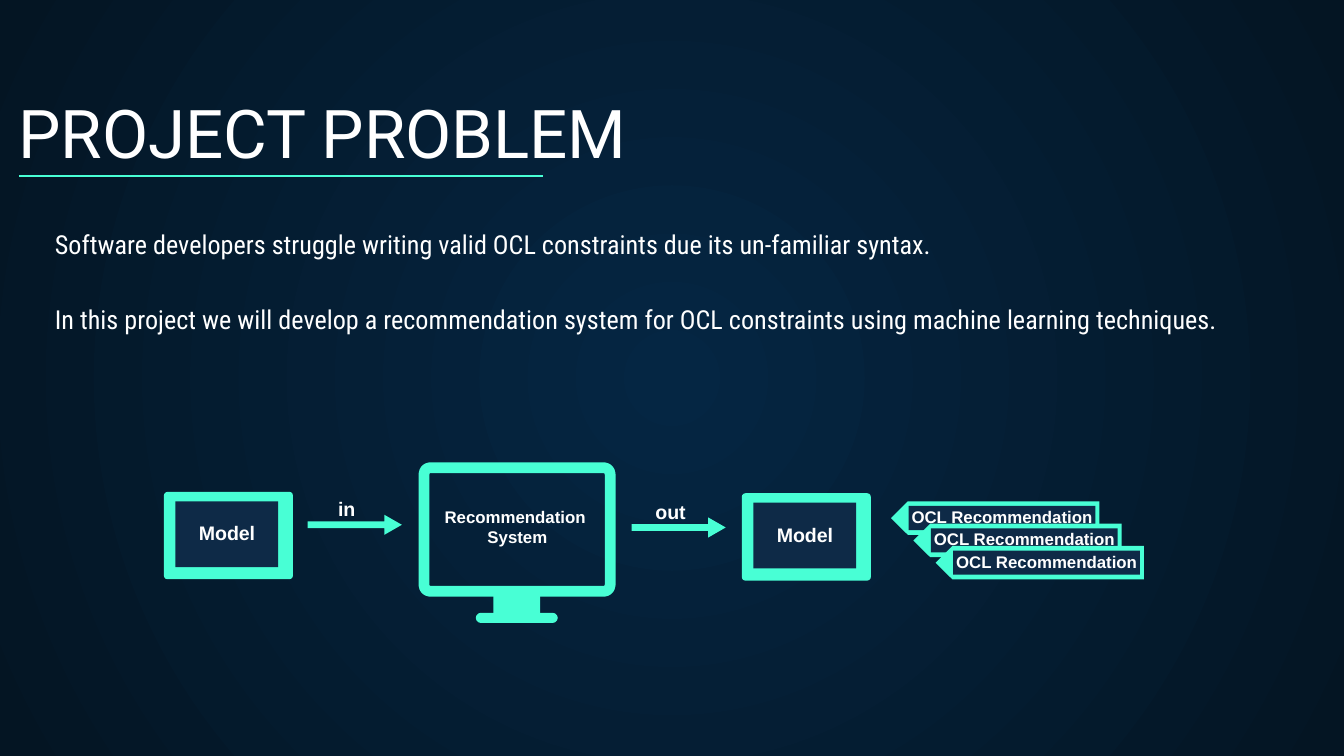
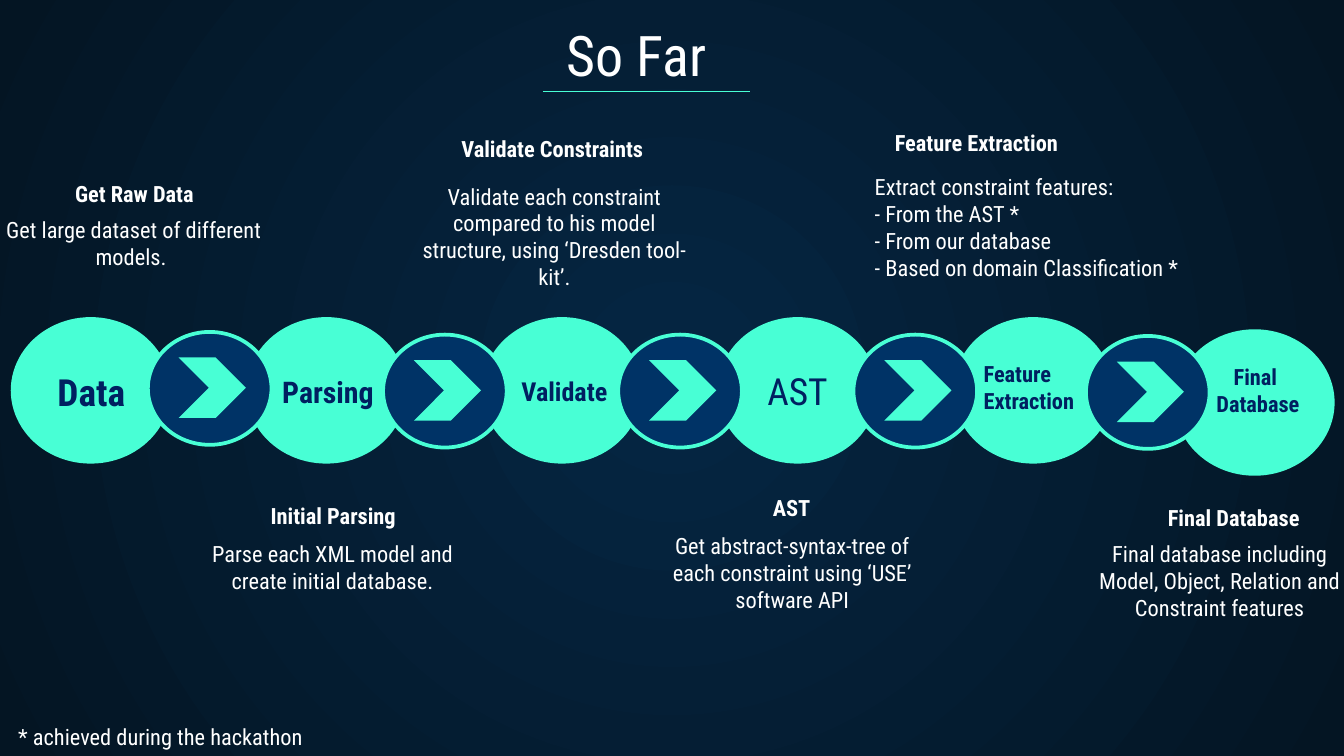
import dataclasses

import lxml.etree
import pptx
import pptx.dml.color
import pptx.enum.shapes
import pptx.enum.text
import pptx.oxml.ns
import pptx.util

SHAPE = pptx.enum.shapes.MSO_SHAPE
LEFT = pptx.enum.text.PP_ALIGN.LEFT
CENTER = pptx.enum.text.PP_ALIGN.CENTER
TOP = pptx.enum.text.MSO_ANCHOR.TOP
MIDDLE = pptx.enum.text.MSO_ANCHOR.MIDDLE
BOTTOM = pptx.enum.text.MSO_ANCHOR.BOTTOM
qn = pptx.oxml.ns.qn
rgb = pptx.dml.color.RGBColor.from_string


@dataclasses.dataclass(frozen=True)
class Theme:
    glow: str = "052643"
    night: str = "041523"
    mint: str = "48FFD5"
    screen: str = "0E2A47"
    badge: str = "003366"
    ink: str = "002060"
    white: str = "FFFFFF"
    heading: str = "Roboto"
    body: str = "Roboto Condensed"
    diagram: str = "Arial"
    title_size: float = 36
    subtitle_size: float = 30
    stage_size: float = 20
    long_stage_size: float = 16
    lead_size: float = 14
    note_size: float = 12
    model_size: float = 10.5
    system_size: float = 9


theme = Theme()
deck = pptx.Presentation()
deck.slide_width = pptx.util.Inches(10)
deck.slide_height = deck.slide_width * 9 // 16
UNIT = deck.slide_width // 100  # side of one square grid cell


def block(slide, kind, cells, fill=None, line=None, weight=0):
    """Place a preset shape, or a text box if kind is None, at grid cells."""
    place = [round(cell * UNIT) for cell in cells]
    if kind is None:
        return slide.shapes.add_textbox(*place)
    shape = slide.shapes.add_shape(kind, *place)
    shape.shadow.inherit = False
    if fill:
        shape.fill.solid()
        shape.fill.fore_color.rgb = rgb(fill)
    else:
        shape.fill.background()
    if line:
        shape.line.color.rgb = rgb(line)
        shape.line.width = pptx.util.Pt(weight)
    else:
        shape.line.fill.background()
    return shape


def write(shape, text, size, font=theme.body, color=theme.white, bold=False,
          align=CENTER, anchor=TOP):
    frame = shape.text_frame
    frame.word_wrap = True
    frame.vertical_anchor = anchor
    frame.text = text
    for paragraph in frame.paragraphs:
        paragraph.alignment = align
        for run in paragraph.runs:
            run.font.size = pptx.util.Pt(size)
            run.font.name = font
            run.font.bold = bold
            run.font.color.rgb = rgb(color)


# Shared frame of each slide: glowing background, title and rule
headings = [
    ("PROJECT PROBLEM", theme.title_size, theme.heading,
     (0.4, 7.2, 49.5, 6.6), (1.4, 40.4, 13.1)),
    ("So Far", theme.subtitle_size, theme.body,
     (41.2, 0.9, 85.7, 6.6), (40.4, 55.8, 6.8)),
]
for title, size, font, cells, (start, end, row) in headings:
    slide = deck.slides.add_slide(deck.slide_layouts[6])
    backdrop = slide.background.fill
    backdrop.gradient()
    for stop, color, position in zip(backdrop.gradient_stops,
                                     (theme.glow, theme.night), (0, 1)):
        stop.color.rgb = rgb(color)
        stop.position = position
    gradient = slide.element.find(".//" + qn("a:gradFill"))
    gradient.remove(gradient.find(qn("a:lin")))
    circle = lxml.etree.SubElement(gradient, qn("a:path"), {"path": "circle"})
    lxml.etree.SubElement(circle, qn("a:fillToRect"),
                          dict.fromkeys("ltrb", "50000"))

    heading = block(slide, None, cells)
    write(heading, title, size, font, align=LEFT, anchor=BOTTOM)
    heading.text_frame.margin_top = heading.text_frame.margin_bottom = UNIT
    rule = slide.shapes.add_connector(
        pptx.enum.shapes.MSO_CONNECTOR.STRAIGHT,
        *[round(cell * UNIT) for cell in (start, row, end, row)])
    rule.line.color.rgb = rgb(theme.mint)
    rule.line.width = pptx.util.Pt(0.75)
    lxml.etree.SubElement(rule.element.spPr, qn("a:effectLst"))

problem, progress = deck.slides

# Slide 1: the problem and the recommendation pipeline
statements = [
    ("Software developers struggle writing valid OCL constraints due its "
     "un-familiar syntax.", (3.1, 16.5, 80.2, 3.4)),
    ("In this project we will develop a recommendation system for OCL "
     "constraints using machine learning techniques.", (3.1, 22.1, 90.1, 5.7)),
]
for statement, cells in statements:
    write(block(problem, None, cells), statement, theme.lead_size, align=LEFT)

for x, y in [(12.2, 36.6), (55.2, 36.7)]:
    tablet = block(problem, SHAPE.ROUNDED_RECTANGLE, (x, y, 9.6, 6.5), theme.mint)
    tablet.adjustments[0] = 0.04
    block(problem, SHAPE.RECTANGLE, (x + 0.85, y + 0.7, 7.65, 4.9), theme.screen)
    write(block(problem, None, (x, y + 1.7, 9.4, 2.9)), "Model",
          theme.model_size, theme.diagram, bold=True)

for flow, x, y in [("in", 22.9, 38.3), ("out", 47, 38.5)]:
    arrow = block(problem, SHAPE.RIGHT_ARROW, (x, y, 7, 1.5), theme.mint)
    arrow.adjustments[0] = 0.33
    arrow.adjustments[1] = 0.87
    write(block(problem, None, (x - 1.8, y - 1.8, 9.4, 2.9)), flow,
          theme.model_size, theme.diagram, bold=True)

monitor = block(problem, SHAPE.ROUNDED_RECTANGLE, (31.55, 34.8, 13.85, 9.2),
                line=theme.mint, weight=5.75)
monitor.adjustments[0] = 0.05
block(problem, SHAPE.RECTANGLE, (36.7, 44, 3.5, 2), theme.mint)
foot = block(problem, SHAPE.ROUNDED_RECTANGLE, (35.4, 45.6, 6.1, 0.75), theme.mint)
foot.adjustments[0] = 0.5
write(block(problem, None, (31.8, 37.2, 13.4, 4)), "Recommendation \vSystem",
      theme.system_size, theme.diagram, bold=True)

for step in range(3):
    x, y = 66.3 + 1.66 * step, 37.3 + 1.66 * step
    tag = block(problem, SHAPE.PENTAGON, (x, y, 15.5, 2.5), theme.mint)
    tag.rotation = 180
    block(problem, SHAPE.RECTANGLE, (x + 1.3, y + 0.35, 13.9, 1.8), theme.screen)
    write(block(problem, None, (x - 0.3, y - 0.1, 17.1, 2.5)),
          "OCL Recommendation", theme.system_size, theme.diagram, bold=True)

# Slide 2: chain of stages
PITCH = 17.53
stages = [
    ("Data", theme.stage_size, CENTER, (1.7, 26.9, 10.2, 4.4)),
    ("Parsing", theme.long_stage_size, CENTER, (19.3, 27.3, 10.2, 3.7)),
    ("Validate", theme.lead_size, CENTER, (36.9, 27.4, 10.2, 3.4)),
    ("AST", theme.stage_size, CENTER, None),
    ("Feature Extraction", theme.note_size, LEFT, (72.2, 26.3, 10.2, 5)),
    ("Final \vDatabase", theme.note_size, CENTER, (88.5, 26.5, 10.2, 5)),
]
for index, (stage, size, align, label_cells) in enumerate(stages):
    last = index == len(stages) - 1
    x, y = (87.4, 24.5) if last else (0.8 + PITCH * index, 23.6)
    label = block(progress, SHAPE.OVAL, (x, y, 11.9, 10.9), theme.mint)
    if label_cells:
        label = block(progress, None, label_cells)
    write(label, stage, size, color=theme.ink, bold=bool(label_cells),
          align=align, anchor=MIDDLE)

for x, y in [(11, 24.7), (28.5, 24.9), (46, 24.9), (63.5, 24.9), (80.8, 25)]:
    block(progress, SHAPE.OVAL, (x, y, 9.2, 8.4), theme.badge, theme.mint, 2)
    block(progress, SHAPE.CHEVRON, (x + 2.3, y + 1.9, 5, 4.5), theme.mint)

# Heading and description of each stage
details = [
    ("Get Raw Data", (-1.1, 12.9, 22.2, 3),
     "Get large dataset of different models. ", (-1, 15.6, 21.9, 5), CENTER),
    ("Initial Parsing", (13.7, 36.9, 22.2, 3),
     "Parse each XML model and create initial database.",
     (13.8, 39.7, 21.9, 5), CENTER),
    ("Validate Constraints", (30, 9.6, 22.2, 3),
     "Validate each constraint compared to his model structure, "
     "using ‘Dresden tool-kit’.", (30.3, 13.1, 21.9, 9.1), CENTER),
    ("AST", (47.8, 36.3, 22.2, 3),
     "Get abstract-syntax-tree of each constraint using ‘USE’ software API",
     (48, 39.1, 21.9, 7.1), CENTER),
    ("Feature Extraction", (58.2, 9.1, 28.9, 3),
     "Extract constraint features:\n- From the AST *\n- From our database\n"
     "- Based on domain Classification *", (64.1, 12.4, 28.5, 9.1), LEFT),
    ("Final Database", (80.7, 37, 22.2, 3),
     "Final database including\nModel, Object, Relation and Constraint features",
     (79.8, 39.7, 21.9, 9.1), CENTER),
]
for caption, caption_cells, description, description_cells, align in details:
    write(block(progress, None, caption_cells), caption, theme.note_size, bold=True)
    write(block(progress, None, description_cells), description,
          theme.note_size, align=align)

write(block(progress, None, (-2.7, 53.3, 29.3, 3)),
      "* achieved during the hackathon", theme.note_size)

deck.save("out.pptx")
